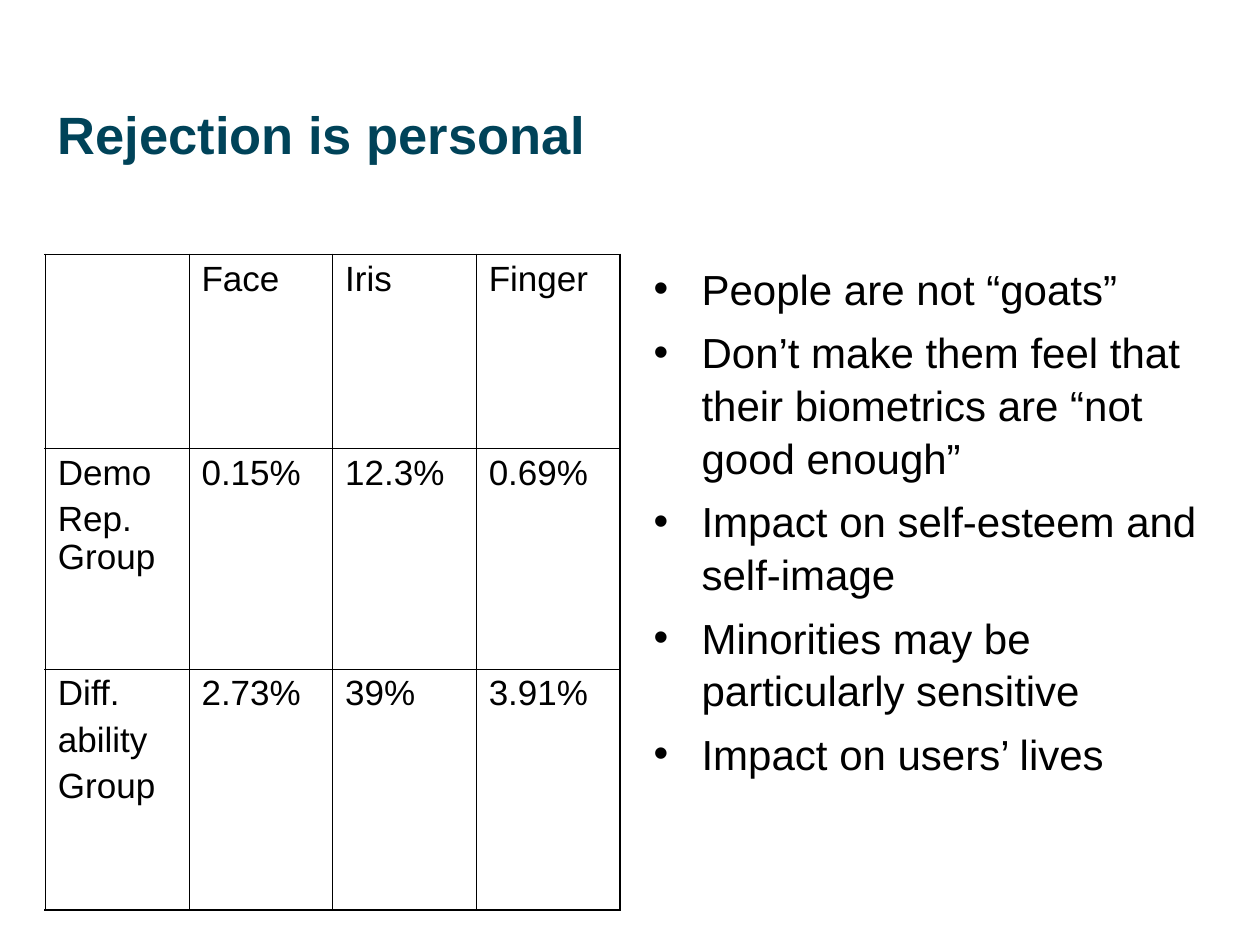
from lxml import etree
from pptx import Presentation
from pptx import util as u
from pptx.dml.color import RGBColor
from pptx.enum import text
from pptx.oxml.ns import qn

TEAL = RGBColor(0x00, 0x43, 0x59)
BLACK = RGBColor(0x00, 0x00, 0x00)
OUTER, INNER = u.Pt(1.08), u.Pt(0.45)


def set_font(para, size, color, bold=False):
    para.font.name = "Arial"
    para.font.size = u.Pt(size)
    para.font.color.rgb = color
    para.font.bold = bold


def add_border(cell, side, width):
    line = etree.SubElement(cell._tc.get_or_add_tcPr(), qn(f"a:ln{side}"), w=str(width))
    fill = etree.SubElement(line, qn("a:solidFill"))
    etree.SubElement(fill, qn("a:srgbClr"), val=str(BLACK))


deck = Presentation()
deck.slide_width, deck.slide_height = u.Inches(10), u.Inches(7.5)
page = deck.slides.add_slide(deck.slide_layouts[6])

title = page.shapes.add_textbox(u.Inches(0.36), u.Inches(0.76), u.Inches(9.28), u.Inches(1.1))
title.text_frame.word_wrap = True
title.text_frame.vertical_anchor = text.MSO_ANCHOR.TOP
title.text_frame.text = "Rejection is personal"
set_font(title.text_frame.paragraphs[0], 30, TEAL, bold=True)

rates = [
    ["", "Face", "Iris", "Finger"],
    ["Demo\nRep. Group", "0.15%", "12.3%", "0.69%"],
    ["Diff.\nability\nGroup", "2.73%", "39%", "3.91%"],
]
row_heights = [1.54, 1.75, 1.91]
last_row, last_col = len(rates) - 1, len(rates[0]) - 1

table = page.shapes.add_table(
    len(rates), len(rates[0]), u.Inches(0.36), u.Inches(2.02), u.Inches(4.56), u.Inches(5.2)
).table
table.first_row = table.horz_banding = False
for column in table.columns:
    column.width = u.Inches(1.14)

for r, (height, values) in enumerate(zip(row_heights, rates)):
    table.rows[r].height = u.Inches(height)
    for c, value in enumerate(values):
        cell = table.cell(r, c)
        cell.text = value
        for i, para in enumerate(cell.text_frame.paragraphs):
            para.line_spacing = 0.97
            para.space_before = u.Pt(5 if i else 0)
            set_font(para, 20, BLACK)
        edges = {"L": c == 0, "R": c == last_col, "T": r == 0, "B": r == last_row}
        for side, is_outer in edges.items():
            add_border(cell, side, OUTER if is_outer else INNER)
        cell.fill.background()

points = [
    "People are not “goats”",
    "Don’t make them feel that their biometrics are “not good enough”",
    "Impact on self-esteem and self-image",
    "Minorities may be particularly sensitive",
    "Impact on users’ lives",
]
body = page.shapes.add_textbox(u.Inches(5.09), u.Inches(2.02), u.Inches(4.56), u.Inches(5.2))
body.text_frame.word_wrap = True
body.text_frame.text = "\n".join(points)
for i, para in enumerate(body.text_frame.paragraphs):
    para.line_spacing = 1.05
    para.space_before = u.Pt(6 if i else 0)
    props = para._p.get_or_add_pPr()
    props.set("marL", str(u.Inches(0.38)))
    props.set("indent", str(u.Inches(-0.38)))
    etree.SubElement(props, qn("a:buFont"), typeface="Arial")
    etree.SubElement(props, qn("a:buChar"), char="•")
    set_font(para, 24, BLACK)

deck.save("out.pptx")
